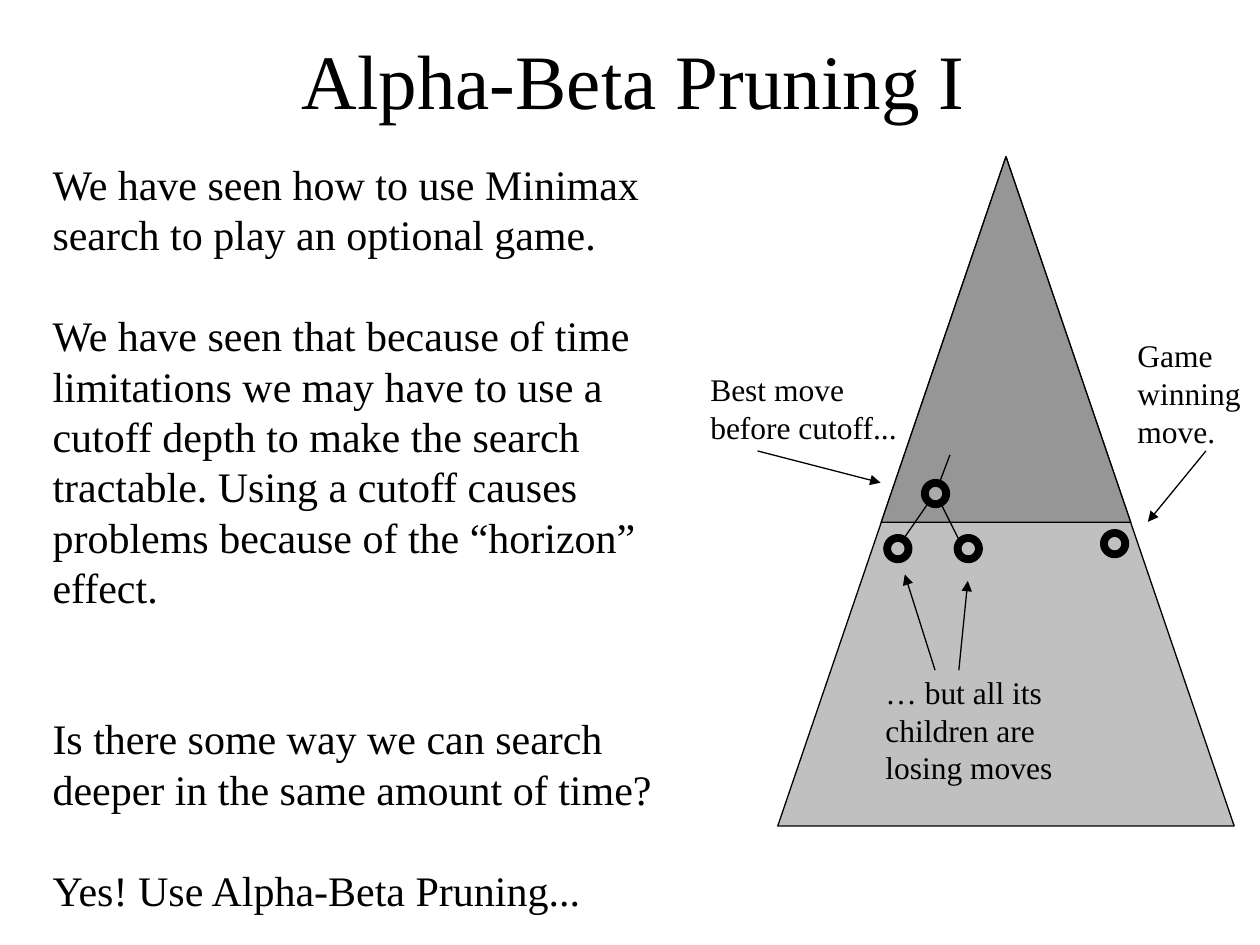
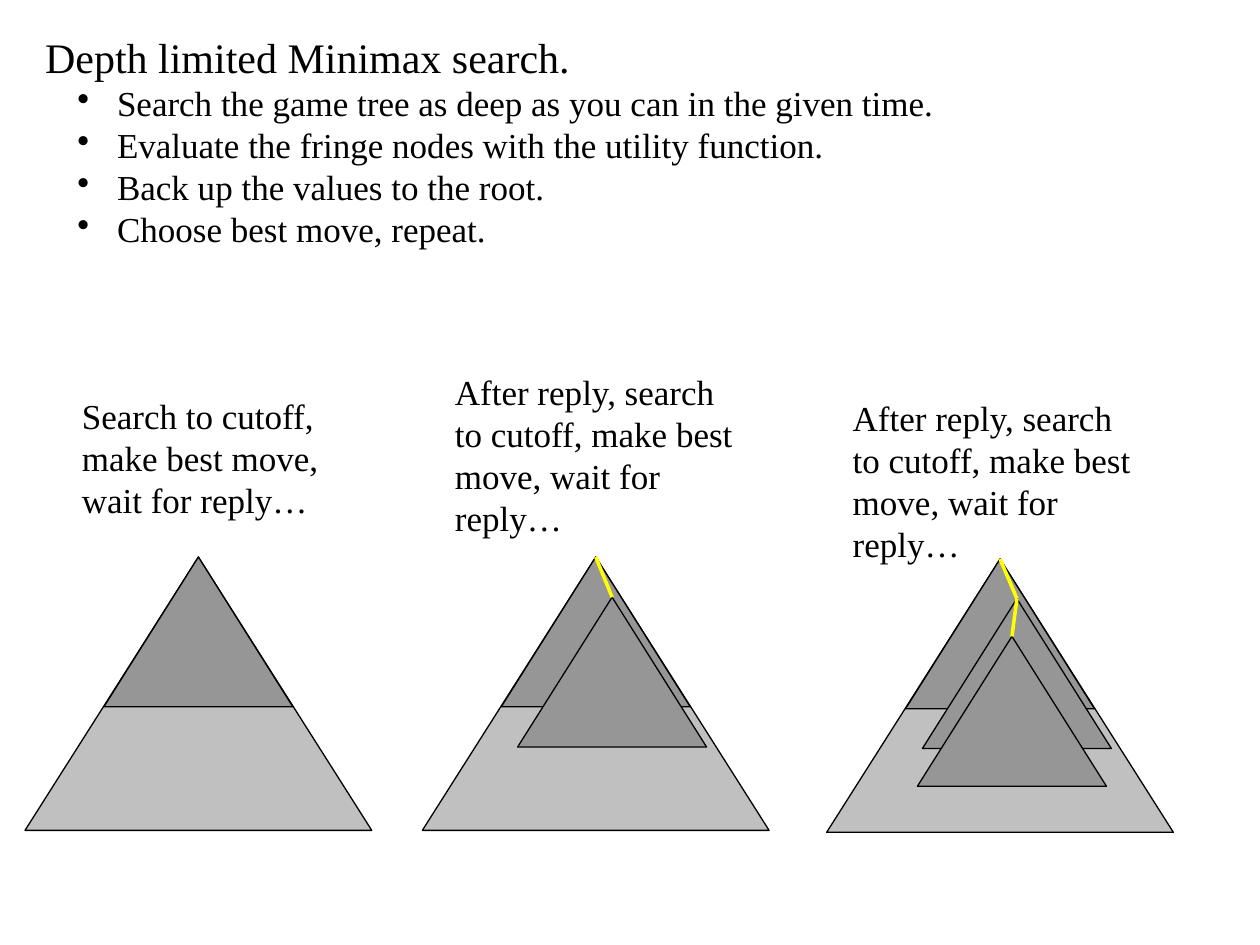
from itertools import pairwise

from lxml import etree
from pptx import Presentation
from pptx.dml.color import RGBColor
from pptx.enum import shapes, text
from pptx.oxml import ns
from pptx.util import Cm, Pt

COLORS = {"ink": "000000", "whole_tree": "C0C0C0", "searched": "969696", "move": "FFFF00"}
FONT = "Times New Roman"
BODY = {"size": Pt(24)}
CAPTION = {"size": Pt(20)}
LABEL = {"size": Pt(18)}
TITLE = {"size": Pt(44)}
SHAPE = shapes.MSO_SHAPE

# All places and sizes are in centimetres: left, top, width, height or x, y.
PRUNING_TITLE = "Alpha-Beta Pruning I"
LINE_GAP = 28.8  # points, one line of body text
PRUNING_TEXT = [  # text, empty lines before it
    ("We have seen how to use Minimax search to play an optional game.", 0),
    ("We have seen that because of time limitations we may have to use a cutoff depth "
     "to make the search tractable. Using a cutoff causes problems because of the "
     "“horizon” effect.", 1),
    ("Is there some way we can search deeper in the same amount of time?", 2),
    ("Yes! Use Alpha-Beta Pruning...", 1),
]
HORIZON_APEX = (20.28, 3.16)
HORIZON_TREES = [("whole_tree", (9.2, 13.49)), ("searched", (5.03, 7.37))]
NODE_SIZE = 0.43
NODES = [(18.86, 9.95), (19.52, 11.06), (18.1, 11.06), (22.47, 10.96)]
BRANCHES = [
    ((18.72, 10.13), (18.21, 10.87)),
    ((18.97, 10.16), (19.35, 10.92)),
    ((18.95, 9.7), (19.15, 9.17)),
]
LABELS = [
    ("Best move before cutoff...", (14.07, 7.34, 4.52, 1.78)),
    ("… but all its children are losing moves", (17.6, 13.44, 4.52, 2.54)),
    ("Game winning move.", (22.68, 6.65, 2.72, 2.54)),
]
POINTERS = [
    ((15.27, 9.09), (17.75, 9.73)),
    ((18.85, 13.51), (18.24, 11.58)),
    ((19.33, 13.51), (19.51, 11.71)),
    ((24.31, 9.09), (23.14, 10.52)),
]

DEPTH_HEADING = "Depth limited Minimax search."
DEPTH_STEPS = [
    "Search the game tree as deep as you can in the given time.",
    "Evaluate the fringe nodes with the utility function.",
    "Back up the values to the root.",
    "Choose best move, repeat.",
]
FIRST_SEARCH = "Search to cutoff, make best move, wait for reply…"
NEXT_SEARCH = "After reply, search to cutoff, make best move, wait for reply…"
WHOLE_SIZE = (6.99, 5.51)
SEARCH_SIZE = (3.81, 3.02)
ROUNDS = [  # caption, its place, roots of the successive searches
    (FIRST_SEARCH, (1.4, 7.82, 6.2, 2.82), [(4.0, 11.23)]),
    (NEXT_SEARCH, (8.92, 7.34, 6.2, 3.68), [(12.01, 11.23), (12.34, 12.04)]),
    (NEXT_SEARCH, (16.94, 7.87, 6.2, 3.68), [(20.16, 11.27), (20.5, 12.07), (20.4, 12.83)]),
]


def rgb(name):
    return RGBColor.from_string(COLORS[name])


def lengths(values):
    return [Cm(value) for value in values]


def add_text(slide, place, paragraphs, style, anchor=text.MSO_ANCHOR.TOP):
    frame = slide.shapes.add_textbox(*lengths(place)).text_frame
    frame.word_wrap = True
    frame.vertical_anchor = anchor
    for index, words in enumerate(paragraphs):
        paragraph = frame.paragraphs[0] if index == 0 else frame.add_paragraph()
        paragraph.text = words
        set_font(paragraph, style)
    return frame.paragraphs


def set_font(paragraph, style):
    for name, value in {"name": FONT, **style}.items():
        setattr(paragraph.font, name, value)
    paragraph.font.color.rgb = rgb("ink")


def add_bullet(paragraph):
    properties = paragraph._p.get_or_add_pPr()
    properties.set("marL", str(Cm(1.45)))
    properties.set("indent", str(Cm(-0.8)))
    etree.SubElement(properties, ns.qn("a:buChar")).set("char", "•")


def add_outlined(slide, kind, place, fill, line_width):
    shape = slide.shapes.add_shape(kind, *lengths(place))
    shape.shadow.inherit = False
    shape.fill.solid()
    shape.fill.fore_color.rgb = rgb(fill)
    shape.line.color.rgb = rgb("ink")
    shape.line.width = Pt(line_width)
    return shape


def add_tree(slide, apex, size, fill):
    x, y = apex
    width, height = size
    place = (x - width / 2, y, width, height)
    add_outlined(slide, SHAPE.ISOSCELES_TRIANGLE, place, fill, 0.75)


def add_node(slide, center):
    x, y = center
    place = (x - NODE_SIZE / 2, y - NODE_SIZE / 2, NODE_SIZE, NODE_SIZE)
    node = add_outlined(slide, SHAPE.OVAL, place, "whole_tree", 4.5)
    fill_color = node._element.spPr.find(ns.qn("a:solidFill"))[0]
    etree.SubElement(fill_color, ns.qn("a:alpha")).set("val", "50000")


def add_line(slide, start, end, color="ink", width=0.75, arrow=False):
    line = slide.shapes.add_connector(shapes.MSO_CONNECTOR.STRAIGHT, *lengths(start + end))
    line.line.color.rgb = rgb(color)
    line.line.width = Pt(width)
    if arrow:
        etree.SubElement(line.line._get_or_add_ln(), ns.qn("a:tailEnd")).set("type", "triangle")
    etree.SubElement(line._element.spPr, ns.qn("a:effectLst"))


def build_pruning(slide):
    title, = add_text(slide, (1.98, 0, 21.59, 3.18), [PRUNING_TITLE], TITLE,
                      text.MSO_ANCHOR.MIDDLE)
    title.alignment = text.PP_ALIGN.CENTER

    body = add_text(slide, (0.81, 3.07, 13.34, 15.47), [words for words, _ in PRUNING_TEXT], BODY)
    for paragraph, (_, empty_lines) in zip(body, PRUNING_TEXT):
        if empty_lines:
            paragraph.space_before = Pt(LINE_GAP * empty_lines)

    for fill, size in HORIZON_TREES:
        add_tree(slide, HORIZON_APEX, size, fill)
    for center in NODES:
        add_node(slide, center)
    for start, end in BRANCHES:
        add_line(slide, start, end)
    for words, place in LABELS:
        add_text(slide, place, [words], LABEL)
    for start, end in POINTERS:
        add_line(slide, start, end, arrow=True)


def build_depth_limited(slide):
    _, *steps = add_text(slide, (0.66, 0.51, 23.06, 4.7), [DEPTH_HEADING, *DEPTH_STEPS], BODY)
    for step in steps:
        add_bullet(step)
        set_font(step, CAPTION)

    for caption, place, roots in ROUNDS:
        add_tree(slide, roots[0], WHOLE_SIZE, "whole_tree")
        for root in roots:
            add_tree(slide, root, SEARCH_SIZE, "searched")
        add_text(slide, place, [caption], CAPTION)
        for start, end in pairwise(roots):
            add_line(slide, start, end, "move", 2)


def main():
    deck = Presentation()
    deck.slide_width, deck.slide_height = Cm(25.4), Cm(19.05)
    blank = deck.slide_layouts[6]
    for build in (build_pruning, build_depth_limited):
        build(deck.slides.add_slide(blank))
    deck.save("out.pptx")


if __name__ == "__main__":
    main()
